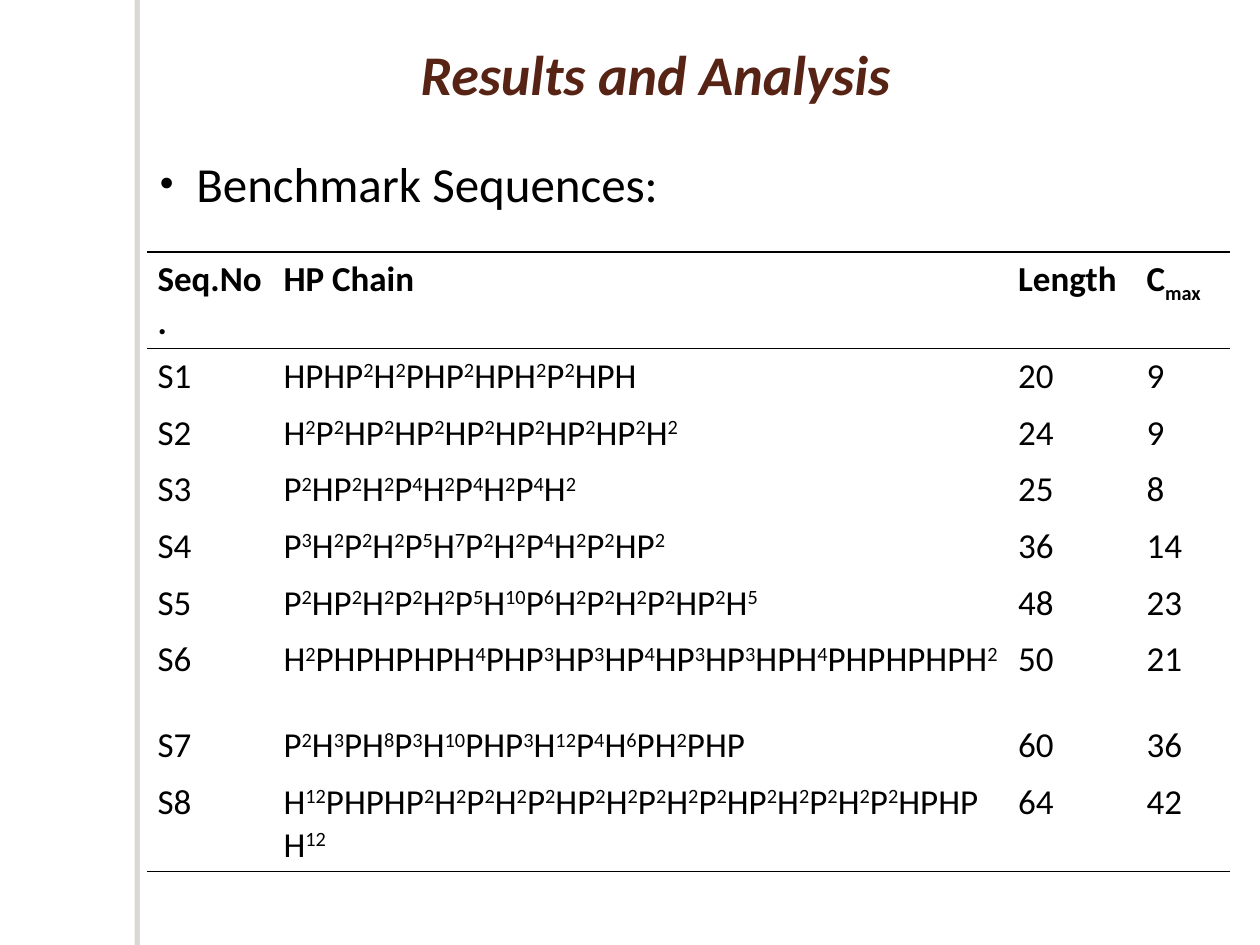
from itertools import groupby

from lxml.etree import SubElement
from pptx import Presentation
from pptx.dml.color import RGBColor
from pptx.enum.shapes import MSO_SHAPE as Shape
from pptx.enum.text import MSO_ANCHOR as Anchor, PP_ALIGN as Align
from pptx.oxml.ns import qn
from pptx.util import Inches, Pt

FONT, BLACK, WHITE, BROWN, GREY = "Calibri", "000000", "FFFFFF", "572314", "706B5F"
TITLE = "Results and Analysis"
BULLET = "Benchmark Sequences:"
HEADER = ("Seq.No.", "HP Chain", "Length", "C_max")
SEQUENCES = [
    ("S1", "HPHP2H2PHP2HPH2P2HPH", "20", "9"),
    ("S2", "H2P2HP2HP2HP2HP2HP2HP2H2", "24", "9"),
    ("S3", "P2HP2H2P4H2P4H2P4H2", "25", "8"),
    ("S4", "P3H2P2H2P5H7P2H2P4H2P2HP2", "36", "14"),
    ("S5", "P2HP2H2P2H2P5H10P6H2P2H2P2HP2H5", "48", "23"),
    ("S6", "H2PHPHPHPH4PHP3HP3HP4HP3HP3HPH4PHPHPHPH2", "50", "21"),
    ("S7", "P2H3PH8P3H10PHP3H12P4H6PH2PHP", "60", "36"),
    ("S8", "H12PHPHP2H2P2H2P2HP2H2P2H2P2HP2H2P2H2P2HPHPH12", "64", "42"),
]
COLUMN_WIDTHS = (1, 5.83, 1.02, 0.74)
ROW_HEIGHT, TALL_ROW_HEIGHT, TALL_ROWS = 0.45, 0.68, (0, 6, 8)
CHAIN_COLUMN = 1
SUPERSCRIPT, SUBSCRIPT = 30, -25
EDGE_LINE, HEADER_LINE = 0.75, 0.45
LEFT = 1.17


def color(value):
    return RGBColor.from_string(value)


def style(paragraph, size, value=BLACK, bold=False, italic=False):
    font = paragraph.font
    font.name, font.size, font.bold, font.italic = FONT, Pt(size), bold, italic
    font.color.rgb = color(value)


def add_runs(paragraph, pieces):
    for text, baseline in pieces:
        run = paragraph.add_run()
        run.text = text
        if baseline:
            run.font._element.set("baseline", str(baseline * 1000))


def split_chain(chain):
    return [("".join(group), SUPERSCRIPT if digits else 0)
            for digits, group in groupby(chain, str.isdigit)]


def split_label(label):
    base, _, index = label.partition("_")
    return [(base, 0)] + ([(index, SUBSCRIPT)] if index else [])


def set_borders(cell, top, bottom):
    properties = cell._tc.get_or_add_tcPr()
    for tag, width in (("a:lnL", 0), ("a:lnR", 0), ("a:lnT", top), ("a:lnB", bottom)):
        line = SubElement(properties, qn(tag), w=str(Pt(width)))
        if width:
            fill = SubElement(line, qn("a:solidFill"))
            SubElement(fill, qn("a:srgbClr"), val=BLACK)
        else:
            SubElement(line, qn("a:noFill"))


def add_side_bar(slide):
    bar = slide.shapes.add_shape(Shape.RECTANGLE, Inches(1.11), 0, Inches(0.08), Inches(7.5))
    bar.fill.solid()
    bar.fill.fore_color.rgb = color(WHITE)
    bar.line.fill.background()
    effects = SubElement(bar._element.spPr, qn("a:effectLst"))
    shadow = SubElement(effects, qn("a:outerShdw"), blurRad="0", dist=str(Pt(3)),
                        dir=str(180 * 60000), algn="tl", rotWithShape="0")
    tint = SubElement(shadow, qn("a:srgbClr"), val=GREY)
    SubElement(tint, qn("a:alpha"), val="25000")


def add_text(slide, text, left, top, width, height):
    frame = slide.shapes.add_textbox(*map(Inches, (left, top, width, height))).text_frame
    frame.word_wrap = True
    paragraph = frame.paragraphs[0]
    add_runs(paragraph, [(text, 0)])
    return frame, paragraph


def add_title(slide):
    frame, paragraph = add_text(slide, TITLE, 1.58, 0.08, 7.25, 1)
    frame.vertical_anchor = Anchor.MIDDLE
    paragraph.alignment = Align.CENTER
    style(paragraph, 32, BROWN, bold=True, italic=True)


def add_bullet(slide):
    _, paragraph = add_text(slide, BULLET, LEFT, 1.17, 6.33, 0.57)
    properties = paragraph._p.get_or_add_pPr()
    indent = Inches(0.29)
    properties.set("marL", str(indent))
    properties.set("indent", str(-indent))
    SubElement(properties, qn("a:buSzPct"), val="80000")
    SubElement(properties, qn("a:buFont"), typeface="Arial")
    SubElement(properties, qn("a:buChar"), char="•")
    style(paragraph, 28)


def add_sequence_table(slide):
    rows = [HEADER] + SEQUENCES
    heights = [TALL_ROW_HEIGHT if i in TALL_ROWS else ROW_HEIGHT for i in range(len(rows))]
    table = slide.shapes.add_table(
        len(rows), len(HEADER), Inches(LEFT), Inches(2),
        Inches(sum(COLUMN_WIDTHS)), Inches(sum(heights))).table
    table.first_row = table.horz_banding = False
    for column, width in zip(table.columns, COLUMN_WIDTHS):
        column.width = Inches(width)
    rules = [EDGE_LINE, HEADER_LINE] + [0] * (len(rows) - 2) + [EDGE_LINE]
    for i, values in enumerate(rows):
        table.rows[i].height = Inches(heights[i])
        for j, value in enumerate(values):
            cell = table.cell(i, j)
            cell.margin_left = cell.margin_right = Inches(0.08)
            set_borders(cell, rules[i], rules[i + 1])
            cell.fill.background()
            paragraph = cell.text_frame.paragraphs[0]
            is_chain = i > 0 and j == CHAIN_COLUMN
            add_runs(paragraph, split_chain(value) if is_chain else split_label(value))
            style(paragraph, 20, bold=i == 0)


def main():
    presentation = Presentation()
    presentation.slide_width, presentation.slide_height = Inches(10), Inches(7.5)
    slide = presentation.slides.add_slide(presentation.slide_layouts[6])
    add_side_bar(slide)
    add_title(slide)
    add_sequence_table(slide)
    add_bullet(slide)
    presentation.save("out.pptx")


if __name__ == "__main__":
    main()
